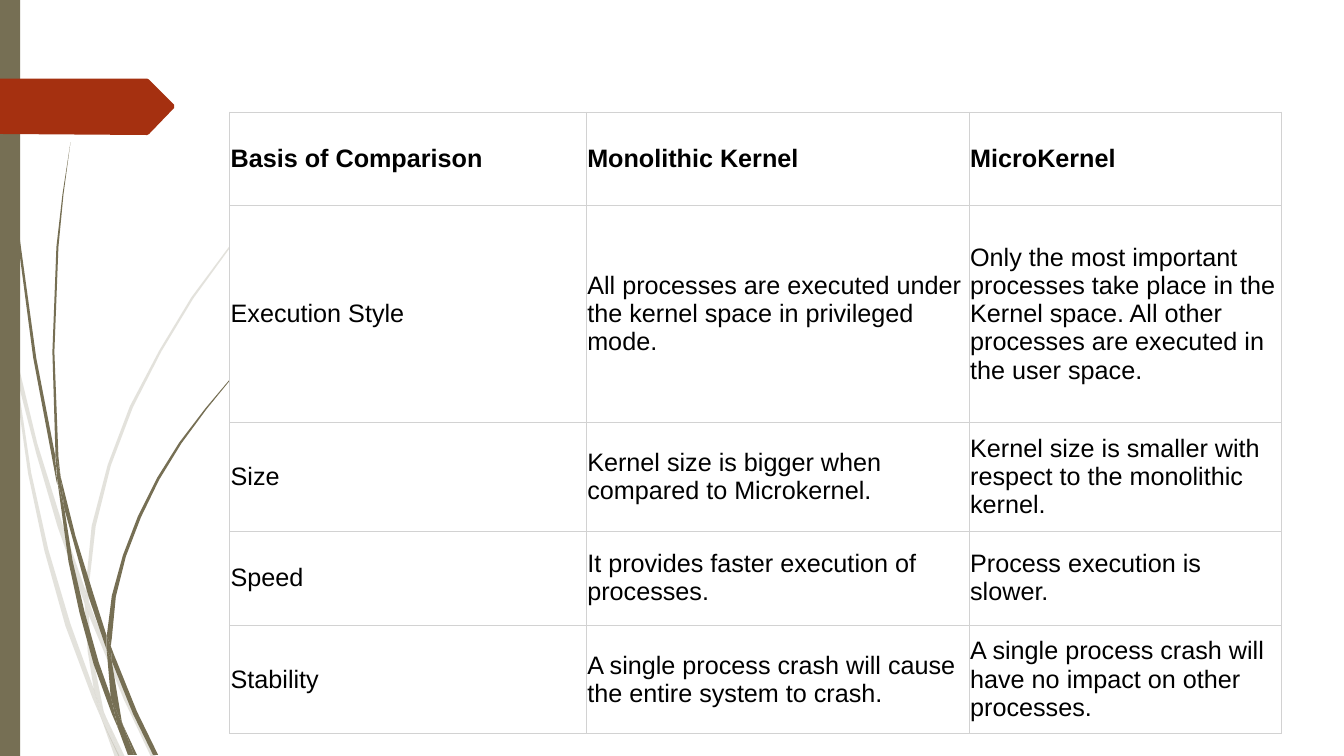
from lxml.etree import SubElement as Sub
from pptx import Presentation
from pptx.dml.color import RGBColor as Rgb
from pptx.enum.shapes import MSO_SHAPE as Kind
from pptx.enum.text import MSO_ANCHOR as Anchor
from pptx.oxml.ns import qn
from pptx.util import Inches, Pt

COLORS = {
    "olive": "766F54",
    "red": "A53010",
    "grid": "D2D2D2",
    "text": "000000",
    "cell": "FFFFFF",
}

# Outline points of the grass blades, in inches
PALE = [
    "0.11,3.5 0.08,3.22 0,2.82 0,2.99 0.1,3.44",
    "0.57,5.22 0.84,5.99 0.85,5.86 0.62,5.2 0.37,4.4 0.14,3.45 0.17,3.76 0.36,4.5",
    "0.92,6.07 0.88,5.96 0.88,6.1 1.23,6.94 1.5,7.51 1.55,7.51 1.27,6.92",
    "1.19,7.51 1.24,7.51 1.05,7.11",
    "0.93,6.83 0.7,6.19 0.48,5.45 0.31,4.69 0.17,3.76 0.11,3.5 0.28,4.7 "
    "0.44,5.46 0.65,6.21 0.92,6.93 1.01,7.14 0.99,7.07",
    "0.84,5.99 0.87,6.46 0.93,6.83 0.96,6.92 1.05,7.11 1.03,7.06 0.91,6.46 "
    "0.88,6.1 0.88,6.08",
    "0.88,5.84 0.95,5.22 1.1,4.62 1.32,4.04 1.6,3.49 1.92,2.96 2.29,2.45 "
    "2.68,1.98 2.9,1.75 3.12,1.53 2.89,1.75 2.68,1.97 2.28,2.44 1.9,2.95 "
    "1.58,3.48 1.29,4.03 1.07,4.61 0.91,5.22 0.85,5.84 0.85,5.86 0.88,5.96",
    "1.01,7.14 1.14,7.51 1.19,7.51",
    "0.88,6.08 0.88,6.1 0.88,5.96 0.85,5.86 0.84,5.99",
    "0.96,6.92 0.93,6.83 0.99,7.07 1.01,7.14 1.18,7.51 1.19,7.51 1.05,7.11",
]
DARK = [
    "0.07,1.1 0.17,2.33 0.33,3.55 0.56,4.77 0.57,4.81 0.55,4.57 0.55,4.53 "
    "0.36,3.55 0.19,2.32 0.08,1.09 0.05,0.48 0.03,0 0.03,0.48",
    "0.88,5.92 1.06,6.45 1.06,6.33 1.06,6.31 0.93,5.9 0.75,5.32 0.6,4.72 0.64,5.05",
    "1.13,6.49 1.1,6.41 1.11,6.56 1.32,7.08 1.52,7.49 1.57,7.49 1.36,7.06",
    "1.1,6.91 0.98,6.57 0.84,6.07 0.72,5.56 0.64,5.05 0.57,4.77 0.68,5.57 "
    "0.79,6.08 0.93,6.59 1.11,7.08 1.17,7.22 1.16,7.17",
    "0.6,4.72 0.58,4.53 0.54,3.49 0.58,2.45 0.63,1.93 0.7,1.41 0.62,1.93 "
    "0.56,2.45 0.52,3.49 0.55,4.49",
    "1.33,7.49 1.36,7.49 1.22,7.19",
    "0.57,4.77 0.64,5.05 0.6,4.72 0.55,4.49 0.55,4.53",
    "1.11,6.33 1.15,5.92 1.25,5.52 1.4,5.13 1.58,4.76 1.8,4.4 2.05,4.06 "
    "2.31,3.74 2.46,3.59 2.61,3.44 2.45,3.58 2.31,3.73 2.04,4.05 1.78,4.39 "
    "1.56,4.74 1.37,5.12 1.22,5.51 1.11,5.91 1.06,6.31 1.1,6.41",
    "1.17,7.22 1.27,7.49 1.31,7.49",
    "1.06,6.45 1.1,6.92 1.16,7.06 1.22,7.19 1.21,7.16 1.11,6.56 1.09,6.51",
    "1.06,6.45 1.09,6.51 1.11,6.56 1.1,6.41 1.06,6.31 1.06,6.33",
    "1.16,7.06 1.1,6.91 1.16,7.17 1.17,7.22 1.3,7.49 1.33,7.49 1.22,7.19",
]
TAG = "0,0 1.46,0 1.48,0.01 1.73,0.26 1.73,0.29 1.48,0.55 1.46,0.56 0,0.55"

COLS = [3.54, 3.8, 3.1]
ROWS = [0.93, 2.15, 1.08, 0.93, 1.08]
CELLS = [
    ["Basis of Comparison", "Monolithic Kernel", "MicroKernel"],
    ["Execution Style",
     "All processes are executed under the kernel space in privileged mode.",
     "Only the most important processes take place in the Kernel space. "
     "All other processes are executed in the user space."],
    ["Size", "Kernel size is bigger when compared to Microkernel.",
     "Kernel size is smaller with respect to the monolithic kernel."],
    ["Speed", "It provides faster execution of processes.",
     "Process execution is slower."],
    ["Stability",
     "A single process crash will cause the entire system to crash.",
     "A single process crash will have no impact on other processes."],
]


def paint(shape, color):
    shape.shadow.inherit = False
    shape.fill.solid()
    shape.fill.fore_color.rgb = Rgb.from_string(COLORS[color])
    shape.line.fill.background()


def outline(shapes, x, y, text, color):
    points = []
    for pair in text.split():
        px, py = map(float, pair.split(","))
        points.append((Inches(x + px), Inches(y + py)))
    pen = shapes.build_freeform(*points[0], scale=1.0)
    pen.add_line_segments(points[1:], close=True)
    shape = pen.convert_to_shape()
    paint(shape, color)
    return shape


def grass(slide, x, y, blades, alpha=None):
    group = slide.shapes.add_group_shape()
    for blade in blades:
        shape = outline(group.shapes, x, y, blade, "olive")
        if alpha:
            tint = shape.fill._xPr.find(qn("a:solidFill"))[0]
            Sub(tint, qn("a:alpha"), val=str(alpha * 1000))


def band(slide, x, y, w, h):
    box = map(Inches, (x, y, w, h))
    paint(slide.shapes.add_shape(Kind.RECTANGLE, *box), "olive")


def border(cell):
    props = cell._tc.get_or_add_tcPr()
    for side in ("lnL", "lnR", "lnT", "lnB"):
        line = Sub(props, qn("a:" + side), w=str(Pt(0.57)))
        fill = Sub(line, qn("a:solidFill"))
        Sub(fill, qn("a:srgbClr"), val=COLORS["grid"])


def write(cell, text, bold):
    border(cell)
    cell.fill.solid()
    cell.fill.fore_color.rgb = Rgb.from_string(COLORS["cell"])
    cell.vertical_anchor = Anchor.MIDDLE
    cell.margin_left = cell.margin_right = Inches(0.01)
    cell.margin_top = cell.margin_bottom = Inches(0.05)
    run = cell.text_frame.paragraphs[0].add_run()
    run.text = text
    font = run.font
    font.name, font.size, font.bold = "Arial", Pt(18), bold
    font.color.rgb = Rgb.from_string(COLORS["text"])


def grid(slide, x, y):
    box = map(Inches, (x, y, sum(COLS), sum(ROWS)))
    table = slide.shapes.add_table(len(ROWS), len(COLS), *box).table
    table.horz_banding = False
    for col, width in zip(table.columns, COLS):
        col.width = Inches(width)
    for r, (row, high) in enumerate(zip(table.rows, ROWS)):
        row.height = Inches(high)
        for cell, text in zip(row.cells, CELLS[r]):
            write(cell, text, r == 0)


def main():
    deck = Presentation()
    deck.slide_width, deck.slide_height = Inches(13.34), Inches(7.5)
    slide = deck.slides.add_slide(deck.slide_layouts[6])
    # Left decoration
    grass(slide, 0, 0, PALE, alpha=20)
    grass(slide, 0, 0, DARK)
    band(slide, 0, 0, 0.2, 7.5)
    outline(slide.shapes, 0, 0.78, TAG, "red")
    # Kernel comparison
    grid(slide, 2.28, 1.11)
    deck.save("out.pptx")


if __name__ == "__main__":
    main()
